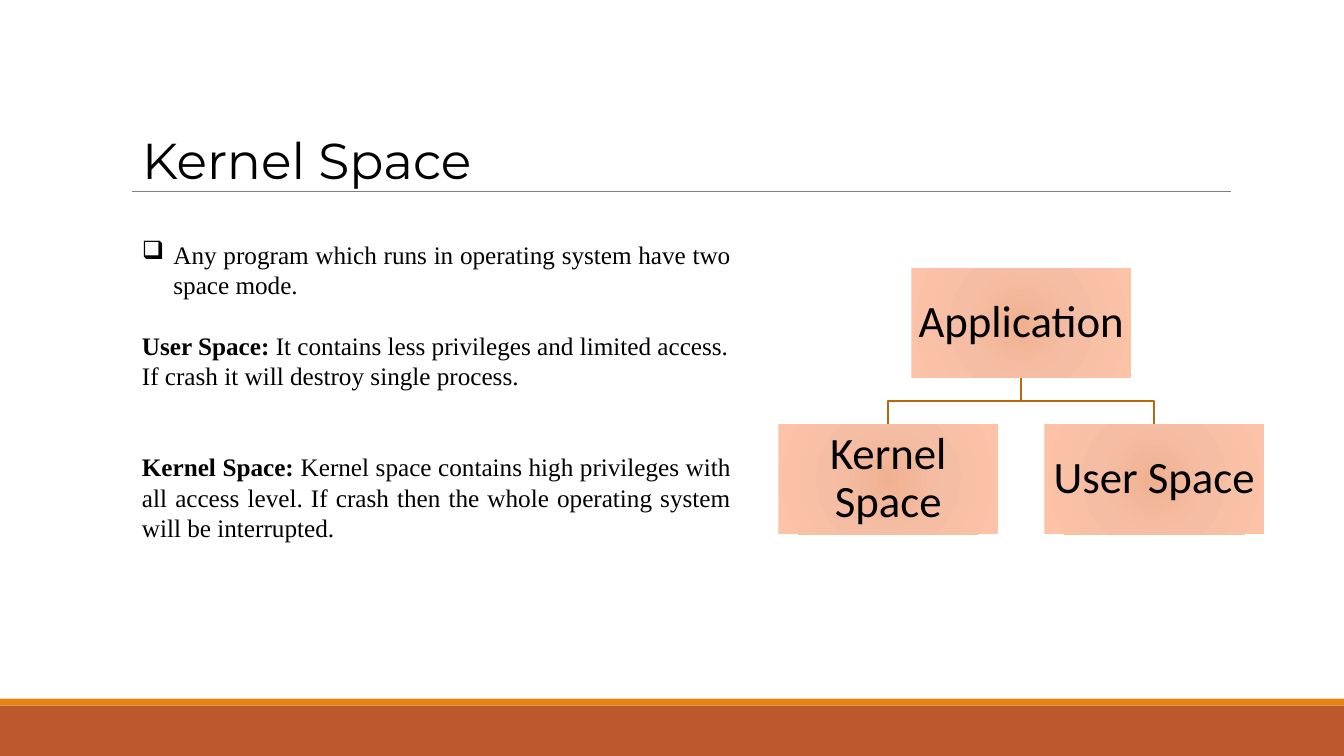
from lxml import etree
from pptx import Presentation
from pptx.dml.color import RGBColor
from pptx.enum.shapes import MSO_CONNECTOR, MSO_SHAPE
from pptx.enum.text import MSO_ANCHOR, MSO_AUTO_SIZE, PP_ALIGN
from pptx.oxml import parse_xml
from pptx.oxml.ns import qn
from pptx.util import Pt

RECTANGLE = MSO_SHAPE.RECTANGLE
STRAIGHT = MSO_CONNECTOR.STRAIGHT
TOP, MIDDLE = MSO_ANCHOR.TOP, MSO_ANCHOR.MIDDLE
CENTER, JUSTIFY, LEFT = PP_ALIGN.CENTER, PP_ALIGN.JUSTIFY, PP_ALIGN.LEFT
NO_AUTOFIT = MSO_AUTO_SIZE.NONE

RADIAL_FILL = """
<a:gradFill xmlns:a="http://schemas.openxmlformats.org/drawingml/2006/main" rotWithShape="1">
  <a:gsLst>
    <a:gs pos="0"><a:srgbClr val="F0B191"/></a:gs>
    <a:gs pos="45000"><a:srgbClr val="F5BEA4"/></a:gs>
    <a:gs pos="100000"><a:srgbClr val="FDC3A8"/></a:gs>
  </a:gsLst>
  <a:path path="circle">
    <a:fillToRect l="100000" t="100000" r="100000" b="100000"/>
  </a:path>
</a:gradFill>"""


def color(value):
    return RGBColor.from_string(value)


def add_span(para, text, font, size, bold=False):
    span = para.add_run()
    span.text = text
    span.font.name = font
    span.font.size = Pt(size)
    span.font.bold = bold
    span.font.color.rgb = color("000000")


deck = Presentation()
deck.slide_width, deck.slide_height = Pt(960), Pt(540)
page = deck.slides.add_slide(deck.slide_layouts[5])

# Footer bands and title rule
for top, height, fill in [(504, 36, "BD582C"), (499, 5, "E48312")]:
    band = page.shapes.add_shape(RECTANGLE, 0, Pt(top), Pt(960), Pt(height))
    band.shadow.inherit = False
    band.fill.solid()
    band.fill.fore_color.rgb = color(fill)
    band.line.fill.background()

rule = page.shapes.add_connector(STRAIGHT, Pt(94.3), Pt(136.8), Pt(879), Pt(136.8))
rule.line.color.rgb = color("808080")
rule.line.width = Pt(0.5)
etree.SubElement(rule._element.spPr, qn("a:effectLst"))

# Title
title = page.shapes.title
title.left, title.top, title.width, title.height = Pt(94.3), Pt(88.6), Pt(501), Pt(50.4)
title.text_frame.auto_size = NO_AUTOFIT
title.text_frame.vertical_anchor = TOP
title_para = title.text_frame.paragraphs[0]
title_para.alignment = LEFT
add_span(title_para, "Kernel Space", "Montserrat", 36)

# Hierarchy diagram
BOX_WIDTH, BOX_HEIGHT = 157, 78.5
ROOT_CENTER, ROOT_TOP, CHILD_TOP = 729.5, 191.5, 303
CHILD_OFFSET = 95
root_bottom = ROOT_TOP + BOX_HEIGHT
elbow = (root_bottom + CHILD_TOP) / 2

for offset in (CHILD_OFFSET, -CHILD_OFFSET):
    child_center = ROOT_CENTER + offset
    builder = page.shapes.build_freeform(Pt(ROOT_CENTER), Pt(root_bottom))
    builder.add_line_segments(
        [(Pt(ROOT_CENTER), Pt(elbow)), (Pt(child_center), Pt(elbow)),
         (Pt(child_center), Pt(CHILD_TOP))],
        close=False)
    branch = builder.convert_to_shape()
    branch.shadow.inherit = False
    branch.fill.background()
    branch.line.color.rgb = color("B7690E")
    branch.line.width = Pt(1.25)

for label, offset, top in [("Application", 0, ROOT_TOP),
                           ("Kernel Space", -CHILD_OFFSET, CHILD_TOP),
                           ("User Space", CHILD_OFFSET, CHILD_TOP)]:
    left = ROOT_CENTER + offset - BOX_WIDTH / 2
    box = page.shapes.add_shape(RECTANGLE, Pt(left), Pt(top), Pt(BOX_WIDTH), Pt(BOX_HEIGHT))
    box.shadow.inherit = False
    box.line.fill.background()
    box._element.spPr.find(qn("a:prstGeom")).addnext(parse_xml(RADIAL_FILL))
    frame = box.text_frame
    frame.word_wrap = True
    frame.vertical_anchor = MIDDLE
    frame.margin_left = frame.margin_right = Pt(1.6)
    frame.margin_top = frame.margin_bottom = Pt(1.6)
    para = frame.paragraphs[0]
    para.alignment = CENTER
    para.line_spacing = 0.9
    add_span(para, label, "Calibri", 32)

# Explanation: gap before each paragraph in lines, then (text, bold) spans
LINE = 21.7
explanation = [
    (0, [("Any program which runs in operating system have two space mode.", False)]),
    (1, [("User Space:", True),
         (" It contains less privileges and limited access.", False)]),
    (0, [("If crash it will destroy single process.", False)]),
    (2, [("Kernel Space: ", True),
         ("Kernel space contains high privileges with all access level. If crash then "
          "the whole operating system will be interrupted.", False)]),
]
body = page.shapes.add_textbox(Pt(94.3), Pt(167), Pt(435), Pt(225.4)).text_frame
body.word_wrap = True
for index, (gap, spans) in enumerate(explanation):
    para = body.paragraphs[0] if index == 0 else body.add_paragraph()
    para.alignment = JUSTIFY
    para.line_spacing = Pt(LINE)
    para.space_before = Pt(gap * LINE)
    for text, bold in spans:
        add_span(para, text, "Times New Roman", 18, bold)

bullet_format = body.paragraphs[0]._p.get_or_add_pPr()
bullet_format.set("marL", str(Pt(22.5)))
bullet_format.set("indent", str(-Pt(22.5)))
etree.SubElement(bullet_format, qn("a:buChar")).set("char", "❑")

deck.save("out.pptx")
